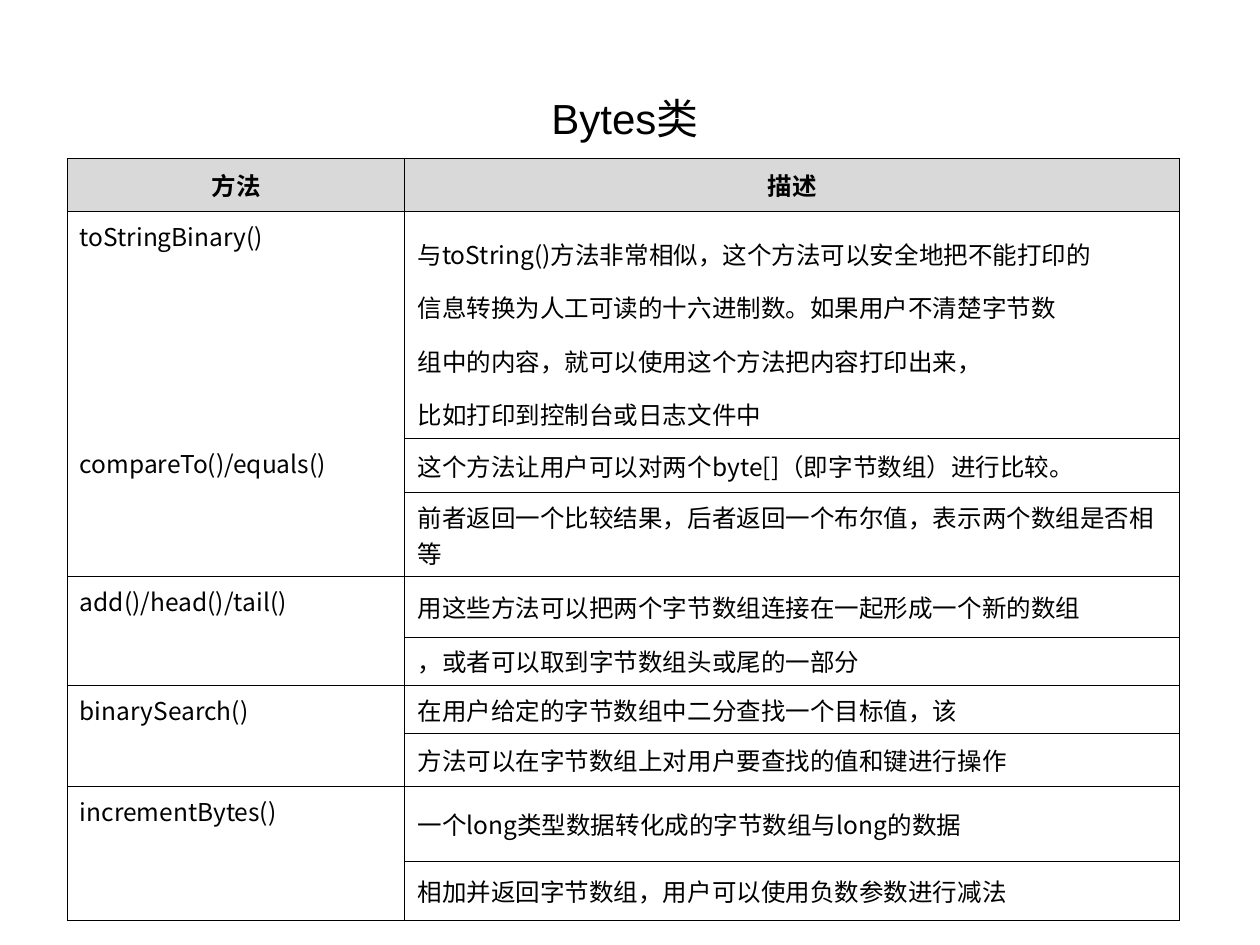
from lxml import etree
from pptx import Presentation
from pptx.dml.color import RGBColor
from pptx.enum import text
from pptx.oxml import ns
from pptx.util import Pt

BLACK = RGBColor(0x00, 0x00, 0x00)
WHITE = RGBColor(0xFF, 0xFF, 0xFF)
HEADER_GREY = RGBColor(0xD9, 0xD9, 0xD9)
CJK_FONT = "Noto Sans CJK SC"
OUTER, INNER, NONE = Pt(0.57), Pt(0.34), 0

HEADINGS = ("方法", "描述")
METHODS = [
    ("toStringBinary()", [
        "与toString()方法非常相似，这个方法可以安全地把不能打印的\n"
        "信息转换为人工可读的十六进制数。如果用户不清楚字节数\n"
        "组中的内容，就可以使用这个方法把内容打印出来，\n"
        "比如打印到控制台或日志文件中"]),
    ("compareTo()/equals()", [
        "这个方法让用户可以对两个byte[]（即字节数组）进行比较。",
        "前者返回一个比较结果，后者返回一个布尔值，表示两个数组是否相等"]),
    ("add()/head()/tail()", [
        "用这些方法可以把两个字节数组连接在一起形成一个新的数组",
        "，或者可以取到字节数组头或尾的一部分"]),
    ("binarySearch()", [
        "在用户给定的字节数组中二分查找一个目标值，该",
        "方法可以在字节数组上对用户要查找的值和键进行操作"]),
    ("incrementBytes()", [
        "一个long类型数据转化成的字节数组与long的数据",
        "相加并返回字节数组，用户可以使用负数参数进行减法"]),
]
COLUMN_WIDTHS = (193, 442.8)
ROW_HEIGHTS = (30.2, 100.8, 31, 23.8, 34.6, 23.8, 25.9, 30.2, 42.5, 33.8)


def write(frame, words, size, font=CJK_FONT, bold=False, align=None, spacing=None):
    frame.text = words
    for paragraph in frame.paragraphs:
        paragraph.alignment = align
        paragraph.line_spacing = spacing
        for run in paragraph.runs:
            run.font.size = Pt(size)
            run.font.bold = bold
            run.font.name = font
            run.font.color.rgb = BLACK
            east_asian = etree.SubElement(run.font._element, ns.qn("a:ea"))
            east_asian.set("typeface", CJK_FONT)


def frame_cell(cell, fill, top=OUTER, bottom=OUTER):
    properties = cell._tc.get_or_add_tcPr()
    for side, width in (("L", OUTER), ("R", OUTER), ("T", top), ("B", bottom)):
        border = etree.SubElement(properties, ns.qn(f"a:ln{side}"), w=str(int(width)))
        if width:
            paint = etree.SubElement(border, ns.qn("a:solidFill"))
            etree.SubElement(paint, ns.qn("a:srgbClr"), val=str(BLACK))
        else:
            etree.SubElement(border, ns.qn("a:noFill"))
    cell.fill.solid()
    cell.fill.fore_color.rgb = fill


def add_title(slide, left, top, width, height):
    title = slide.shapes.title
    title.left, title.top, title.width, title.height = map(Pt, (left, top, width, height))
    write(title.text_frame, "Bytes类", 24, "Arial", align=text.PP_ALIGN.CENTER)
    title.text_frame.vertical_anchor = text.MSO_ANCHOR.MIDDLE


def add_method(table, first, method, descriptions):
    last = first + len(descriptions) - 1
    opens_table = first == 1
    follows_opening = first == 2
    for row, description in enumerate(descriptions, first):
        frame_cell(table.cell(row, 0), WHITE,
                   top=NONE if follows_opening else OUTER,
                   bottom=NONE if opens_table else OUTER)
        detail = table.cell(row, 1)
        write(detail.text_frame, description, 14, spacing=1.5 if opens_table else None)
        detail.vertical_anchor = text.MSO_ANCHOR.MIDDLE
        frame_cell(detail, WHITE,
                   top=OUTER if row == first else INNER,
                   bottom=OUTER if row == last else INNER)
    name = table.cell(first, 0)
    if last > first:
        name.merge(table.cell(last, 0))
    write(name.text_frame, method, 14)


def add_method_table(slide, left, top, width, height):
    table = slide.shapes.add_table(
        len(ROW_HEIGHTS), len(COLUMN_WIDTHS), Pt(left), Pt(top), Pt(width), Pt(height)).table
    table.first_row = table.horz_banding = False
    for column, column_width in zip(table.columns, COLUMN_WIDTHS):
        column.width = Pt(column_width)
    for row, row_height in zip(table.rows, ROW_HEIGHTS):
        row.height = Pt(row_height)
    for index, heading in enumerate(HEADINGS):
        cell = table.cell(0, index)
        write(cell.text_frame, heading, 14, "Montserrat", True, text.PP_ALIGN.CENTER)
        cell.vertical_anchor = text.MSO_ANCHOR.MIDDLE
        frame_cell(cell, HEADER_GREY)
    first = 1
    for method, descriptions in METHODS:
        add_method(table, first, method, descriptions)
        first += len(descriptions)


def main():
    deck = Presentation()
    deck.slide_width, deck.slide_height = Pt(720), Pt(540)
    slide = deck.slides.add_slide(deck.slide_layouts[5])
    add_title(slide, 65.5, 15.1, 583.2, 104.4)
    add_method_table(slide, 38.4, 90.5, sum(COLUMN_WIDTHS), sum(ROW_HEIGHTS))
    deck.save("out.pptx")


if __name__ == "__main__":
    main()
